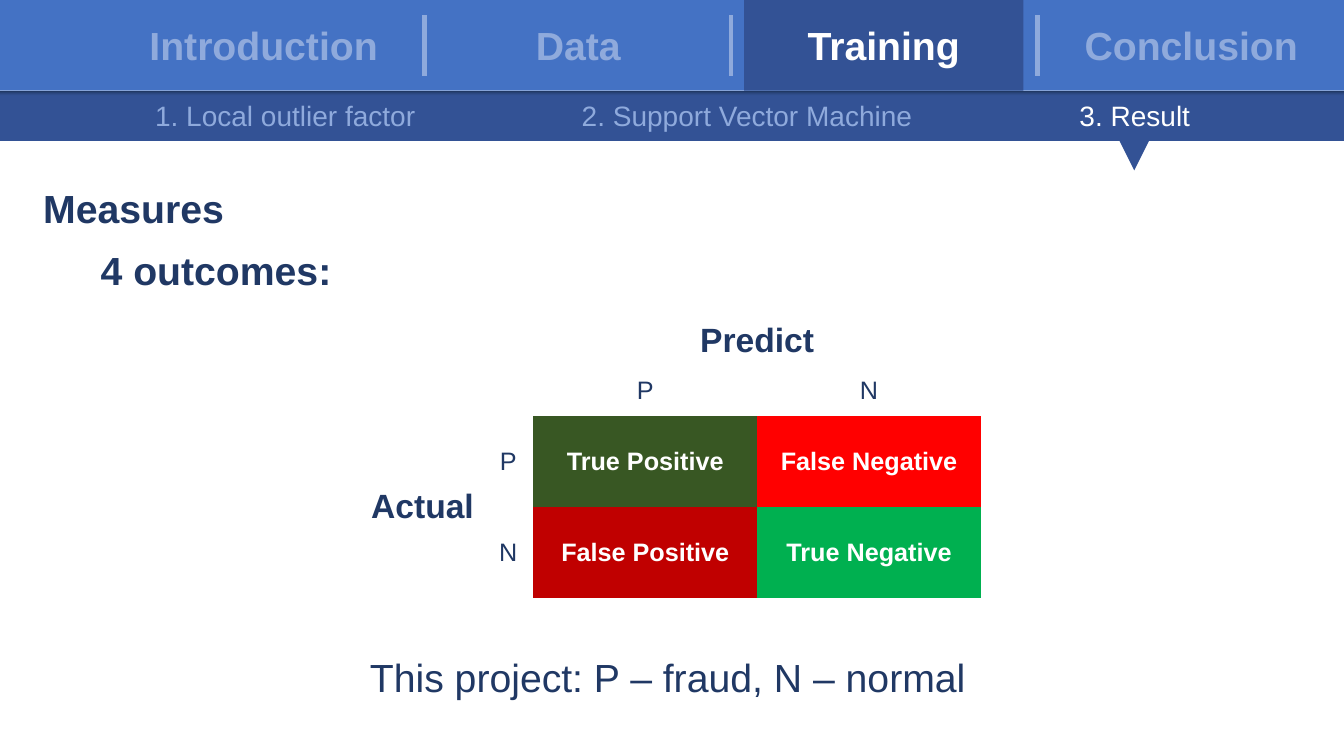
"""Build the slide that explains the four outcomes of a classifier."""

from dataclasses import dataclass
from typing import Optional

from lxml.etree import SubElement
from pptx import Presentation
from pptx.dml.color import RGBColor as Color
from pptx.enum.shapes import MSO_CONNECTOR as Connector, MSO_SHAPE as Preset
from pptx.enum.text import MSO_ANCHOR as Anchor, MSO_AUTO_SIZE as AutoSize, PP_ALIGN as Align
from pptx.oxml.ns import qn
from pptx.shapes.autoshape import Shape
from pptx.slide import Slide
from pptx.table import Table
from pptx.text.text import TextFrame
from pptx.util import Inches, Pt


@dataclass(frozen=True)
class Theme:
    """Colours, font and type sizes of the slide."""

    font: str = "Arial"
    bar: str = "4472C4"
    active: str = "335295"
    muted: str = "8FAADC"
    ink: str = "203864"
    white: str = "FFFFFF"
    true_positive: str = "385723"
    false_negative: str = "FF0000"
    false_positive: str = "C00000"
    true_negative: str = "00B050"
    title: int = 28
    axis: int = 24
    section: int = 20
    cell: int = 18


THEME = Theme()
PLAIN_TABLE_STYLE = "{2D5ABB26-0587-4C30-8999-92F81FD0307C}"


@dataclass(frozen=True)
class Box:
    """A rectangle in inches."""

    left: float
    top: float
    width: float
    height: float

    def lengths(self) -> list[Inches]:
        """Return the four measures as lengths."""
        return [Inches(value) for value in (self.left, self.top, self.width, self.height)]


@dataclass(frozen=True)
class Label:
    """A single line of text in its own box."""

    text: str
    box: Box
    color: str = THEME.ink
    size: int = THEME.title
    bold: bool = False
    align: Align = Align.LEFT
    anchor: Anchor = Anchor.TOP
    fill: Optional[str] = None


@dataclass(frozen=True)
class MatrixCell:
    """One filled-in cell of the confusion matrix."""

    row: int
    column: int
    text: str
    size: int = THEME.cell
    bold: bool = False
    color: str = THEME.ink
    fill: Optional[str] = None


def tab(text: str, left: float, active: bool = False) -> Label:
    """Describe a chapter tab of the top bar."""
    return Label(text, Box(left, 0, 2.77, 0.9), THEME.white if active else THEME.muted, bold=True,
                 align=Align.CENTER, anchor=Anchor.MIDDLE, fill=THEME.active if active else None)


def section(text: str, left: float, width: float, color: str = THEME.muted) -> Label:
    """Describe a section name of the second bar."""
    return Label(text, Box(left, 0.93, width, 0.44), color, THEME.section, align=Align.CENTER)


def outcome(row: int, column: int, text: str, fill: str) -> MatrixCell:
    """Describe a coloured outcome cell."""
    return MatrixCell(row, column, text, bold=True, color=THEME.white, fill=fill)


LABELS = [
    tab("Introduction", 1.23),
    tab("Data", 4.35),
    tab("Training", 7.38, active=True),
    tab("Conclusion", 10.43),
    section("1. Local outlier factor", 1.43, 2.8),
    section("2. Support Vector Machine", 5.66, 3.5),
    section("3. Result", 10.6, 1.31, THEME.white),
    Label("Measures", Box(0.33, 1.78, 2.02, 0.57), bold=True),
    Label("4 outcomes:", Box(0.9, 2.39, 2.52, 0.57), bold=True),
    Label("This project: P – fraud, N – normal", Box(3.57, 6.43, 6.18, 0.57)),
]
MATRIX_BOX = Box(3.59, 3.13, 6.14, 2.8)
COLUMN_WIDTHS = [1.2, 0.5, 2.22, 2.22]
ROW_HEIGHTS = [0.5, 0.5, 0.9, 0.9]
MATRIX_CELLS = [
    MatrixCell(0, 2, "Predict", THEME.axis, True),
    MatrixCell(2, 0, "Actual", THEME.axis, True),
    *(MatrixCell(1, 2 + index, name) for index, name in enumerate("PN")),
    *(MatrixCell(2 + index, 1, name) for index, name in enumerate("PN")),
    outcome(2, 2, "True Positive", THEME.true_positive),
    outcome(2, 3, "False Negative", THEME.false_negative),
    outcome(3, 2, "False Positive", THEME.false_positive),
    outcome(3, 3, "True Negative", THEME.true_negative),
]


def apply(target: object, values: dict[str, object]) -> None:
    """Set every named attribute on the target."""
    for name, value in values.items():
        setattr(target, name, value)


def write(frame: TextFrame, item: Label | MatrixCell, align: Align) -> None:
    """Write the item's text into the frame."""
    paragraph = frame.paragraphs[0]
    paragraph.alignment = align
    run = paragraph.add_run()
    run.text = item.text
    apply(run.font, {"name": THEME.font, "size": Pt(item.size), "bold": item.bold})
    run.font.color.rgb = Color.from_string(item.color)


def add_block(slide: Slide, box: Box, color: str, preset: Preset = Preset.RECTANGLE) -> Shape:
    """Add a plain filled shape."""
    shape = slide.shapes.add_shape(preset, *box.lengths())
    shape.shadow.inherit = False
    shape.fill.solid()
    shape.fill.fore_color.rgb = Color.from_string(color)
    shape.line.fill.background()
    return shape


def add_label(slide: Slide, label: Label) -> None:
    """Add a label, on a block when it has a fill."""
    if label.fill:
        shape = add_block(slide, label.box, label.fill)
    else:
        shape = slide.shapes.add_textbox(*label.box.lengths())
    grows = label.anchor == Anchor.TOP
    apply(shape.text_frame, {
        "word_wrap": False,
        "vertical_anchor": label.anchor,
        "auto_size": AutoSize.SHAPE_TO_FIT_TEXT if grows else AutoSize.NONE,
    })
    write(shape.text_frame, label, label.align)


def add_divider(slide: Slide, x: float) -> None:
    """Add a vertical line between two tabs."""
    ends = [Inches(value) for value in (x, 0.15, x, 0.75)]
    divider = slide.shapes.add_connector(Connector.STRAIGHT, *ends)
    divider.line.width = Pt(3)
    divider.line.color.rgb = Color.from_string(THEME.muted)
    SubElement(divider.element.spPr, qn("a:effectLst"))


def add_bars(slide: Slide) -> None:
    """Add the two navigation bars and the tab dividers."""
    add_block(slide, Box(0, 0, 13.33, 0.9), THEME.bar)
    fill = add_block(slide, Box(0, 0.9, 13.33, 0.5), THEME.active).fill
    fill.gradient()
    fill.gradient_angle = 90
    for stop, position, color in zip(fill.gradient_stops, (0.9, 1), (THEME.active, THEME.ink)):
        stop.position = position
        stop.color.rgb = Color.from_string(color)
    for index in range(3):
        add_divider(slide, 4.21 + 3.04 * index)


def fill_matrix(table: Table) -> None:
    """Clear the table's cells, then fill in the described ones."""
    for cell in table.iter_cells():
        cell.fill.background()
    for item in MATRIX_CELLS:
        cell = table.cell(item.row, item.column)
        cell.vertical_anchor = Anchor.MIDDLE
        write(cell.text_frame, item, Align.CENTER)
        if item.fill:
            cell.fill.solid()
            cell.fill.fore_color.rgb = Color.from_string(item.fill)


def add_matrix(slide: Slide) -> None:
    """Add the confusion matrix as a table."""
    size = len(ROW_HEIGHTS), len(COLUMN_WIDTHS)
    frame = slide.shapes.add_table(*size, *MATRIX_BOX.lengths())
    table = frame.table
    apply(table, {"first_row": False, "horz_banding": False})
    for style in frame.element.iter(qn("a:tableStyleId")):
        style.text = PLAIN_TABLE_STYLE
    for column, width in zip(table.columns, COLUMN_WIDTHS):
        column.width = Inches(width)
    for row, height in zip(table.rows, ROW_HEIGHTS):
        row.height = Inches(height)
    table.cell(0, 2).merge(table.cell(0, 3))
    table.cell(2, 0).merge(table.cell(3, 0))
    margins = ("margin_left", "margin_right", "margin_top", "margin_bottom")
    apply(table.cell(2, 0), dict.fromkeys(margins, 0))
    fill_matrix(table)


def main() -> None:
    """Build and save the presentation."""
    presentation = Presentation()
    apply(presentation, {"slide_width": Inches(13.33), "slide_height": Inches(7.5)})
    slide = presentation.slides.add_slide(presentation.slide_layouts[6])
    add_bars(slide)
    for label in LABELS:
        add_label(slide, label)
    pointer = add_block(slide, Box(11.1, 1.39, 0.3, 0.3), THEME.active, Preset.ISOSCELES_TRIANGLE)
    pointer.rotation = 180
    add_matrix(slide)
    presentation.save("out.pptx")


if __name__ == "__main__":
    main()
